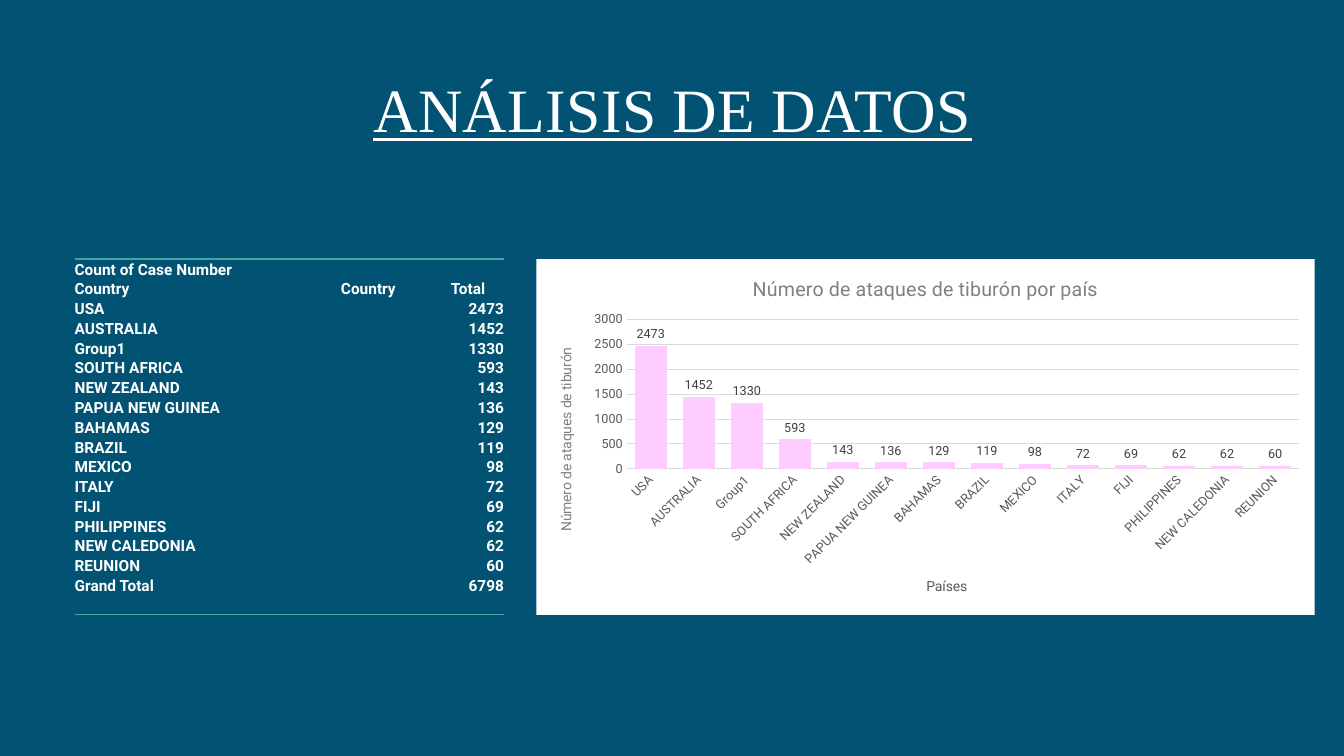
from lxml.etree import SubElement
from pptx import Presentation
from pptx.chart.data import CategoryChartData
from pptx.dml.color import RGBColor
from pptx.enum.chart import XL_CHART_TYPE, XL_LABEL_POSITION, XL_TICK_MARK
from pptx.enum.text import MSO_ANCHOR, PP_ALIGN
from pptx.oxml import parse_xml
from pptx.oxml.ns import nsdecls, qn
from pptx.util import Inches, Pt

SANS = "Roboto"
DATA = [
    ("USA", 2473), ("AUSTRALIA", 1452), ("Group1", 1330),
    ("SOUTH AFRICA", 593), ("NEW ZEALAND", 143), ("PAPUA NEW GUINEA", 136),
    ("BAHAMAS", 129), ("BRAZIL", 119), ("MEXICO", 98), ("ITALY", 72),
    ("FIJI", 69), ("PHILIPPINES", 62), ("NEW CALEDONIA", 62), ("REUNION", 60),
]


def color(code):
    """Turn a hex string into a colour."""
    return RGBColor.from_string(code)


def style(font, size, code, name=SANS, bold=False):
    """Set the look of a font."""
    font.size, font.name, font.bold = Pt(size), name, bold
    font.color.rgb = color(code)


def add_title(slide, left, top, width, height):
    """Place the underlined heading at the foot of its box."""
    frame = slide.shapes.add_textbox(
        Inches(left), Inches(top), Inches(width), Inches(height)).text_frame
    frame.word_wrap = True
    frame.vertical_anchor = MSO_ANCHOR.BOTTOM
    para = frame.paragraphs[0]
    para.alignment, para.line_spacing = PP_ALIGN.CENTER, 0.9
    run = para.add_run()
    run.text = "ANÁLISIS DE DATOS"
    style(run.font, 44, "FFFFFF", "Times New Roman")
    run.font.underline = True
    run.font._element.set("spc", "30")


def add_border(cell, side):
    """Draw a teal line on one side of a cell."""
    cell._tc.get_or_add_tcPr().insert(0, parse_xml(
        f'<a:{side} {nsdecls("a")} w="12700"><a:solidFill>'
        f'<a:srgbClr val="41A6A6"/></a:solidFill></a:{side}>'))


def fill_cell(cell, text, align):
    """Write one cell of the table."""
    cell.margin_left = cell.margin_right = 0
    cell.margin_top = cell.margin_bottom = 0
    cell.vertical_anchor = MSO_ANCHOR.BOTTOM
    cell.fill.background()
    para = cell.text_frame.paragraphs[0]
    para.alignment = align
    if text:
        run = para.add_run()
        run.text = text
        style(run.font, 11, "FFFFFF", bold=True)
    else:
        SubElement(para._p, qn("a:endParaRPr"), sz="1100")


def add_counts(slide, left, top, width, height):
    """Place the table of attacks per country."""
    total = sum(value for _, value in DATA)
    rows = [("Count of Case Number", "", ""), ("Country", "Country", "Total")]
    rows += [(name, "", str(value)) for name, value in DATA]
    rows += [("Grand Total", "", str(total)), ("", "", "")]
    table = slide.shapes.add_table(
        len(rows), 3, Inches(left), Inches(top),
        Inches(width), Inches(height)).table
    table.first_row = table.horz_banding = False
    table._tbl.tblPr.find(qn("a:tableStyleId")).text = (
        "{2D5ABB26-0587-4C30-8999-92F81FD0307C}")
    for col, share in zip(table.columns, (0.62, 0.256, 0.124)):
        col.width = Inches(width * share)
    for i, row in enumerate(rows):
        table.rows[i].height = Inches(height / len(rows))
        for j, text in enumerate(row):
            right = j == 2 and i > 1
            fill_cell(table.cell(i, j), text,
                      PP_ALIGN.RIGHT if right else PP_ALIGN.LEFT)
    for j in range(3):
        add_border(table.cell(0, j), "lnT")
        add_border(table.cell(len(rows) - 1, j), "lnB")


def set_title(owner, text, size, code):
    """Give a chart or an axis its title."""
    owner.has_title = True
    title = getattr(owner, "chart_title", None) or owner.axis_title
    run = title.text_frame.paragraphs[0].add_run()
    run.text = text
    style(run.font, size, code)
    return title.text_frame._txBody.bodyPr


def set_plot(chart, left, top, width, height):
    """Fix the inner plot area, in shares of the chart, on white."""
    area = chart._chartSpace.chart.plotArea
    for old in area.findall(qn("c:layout")):
        area.remove(old)
    spots = "".join(f'<c:{key} val="{val}"/>' for key, val in (
        ("layoutTarget", "inner"), ("xMode", "edge"), ("yMode", "edge"),
        ("x", left), ("y", top), ("w", width), ("h", height)))
    area.insert(0, parse_xml(
        f'<c:layout {nsdecls("c")}><c:manualLayout>{spots}'
        '</c:manualLayout></c:layout>'))
    chart._chartSpace.chart.addnext(parse_xml(
        f'<c:spPr {nsdecls("c", "a")}><a:solidFill><a:srgbClr val="FFFFFF"/>'
        '</a:solidFill><a:ln><a:noFill/></a:ln></c:spPr>'))


def set_axes(chart):
    """Style both axes and their titles."""
    cats, vals = chart.category_axis, chart.value_axis
    for axis in (cats, vals):
        axis.major_tick_mark = axis.minor_tick_mark = XL_TICK_MARK.NONE
        style(axis.tick_labels.font, 9, "595959")
    set_title(cats, "Países", 10, "595959")
    set_title(vals, "Número de ataques de tiburón", 10,
              "808080").set("rot", "-5400000")
    cats._element.txPr.bodyPr.set("rot", "-2700000")
    cats.has_major_gridlines = False
    vals.has_major_gridlines = True
    vals.minimum_scale, vals.maximum_scale, vals.major_unit = 0, 3000, 500
    vals.format.line.fill.background()
    for line in (cats.format.line, vals.major_gridlines.format.line):
        line.color.rgb = color("D9D9D9")
        line.width = Pt(0.75)


def add_bars(slide, left, top, width, height):
    """Place the column chart of attacks per country."""
    data = CategoryChartData()
    data.categories = [name for name, _ in DATA]
    data.add_series("Series 1", [value for _, value in DATA])
    chart = slide.shapes.add_chart(
        XL_CHART_TYPE.COLUMN_CLUSTERED, Inches(left), Inches(top),
        Inches(width), Inches(height), data).chart
    style(chart.font, 10, "000000")
    chart.has_legend = False
    set_title(chart, "Número de ataques de tiburón por país", 14, "808080")
    set_plot(chart, 0.116, 0.17, 0.864, 0.42)
    set_axes(chart)
    plot = chart.plots[0]
    plot.gap_width, plot.overlap, plot.vary_by_categories = 50, -59, False
    bars = plot.series[0].format.fill
    bars.solid()
    bars.fore_color.rgb = color("FFCCFF")
    plot.has_data_labels = True
    labels = plot.data_labels
    labels.show_value = True
    labels.position = XL_LABEL_POSITION.OUTSIDE_END
    style(labels.font, 9, "404040")


def main():
    """Build and save the slide."""
    deck = Presentation()
    deck.slide_width, deck.slide_height = Inches(13.33), Inches(7.5)
    slide = deck.slides.add_slide(deck.slide_layouts[6])
    back = slide.background.fill
    back.solid()
    back.fore_color.rgb = color("025373")
    add_title(slide, 0.42, 0, 12.5, 1.5)
    add_counts(slide, 0.74, 2.57, 4.26, 3.53)
    add_bars(slide, 5.32, 2.57, 7.72, 3.53)
    deck.save("out.pptx")


if __name__ == "__main__":
    main()
